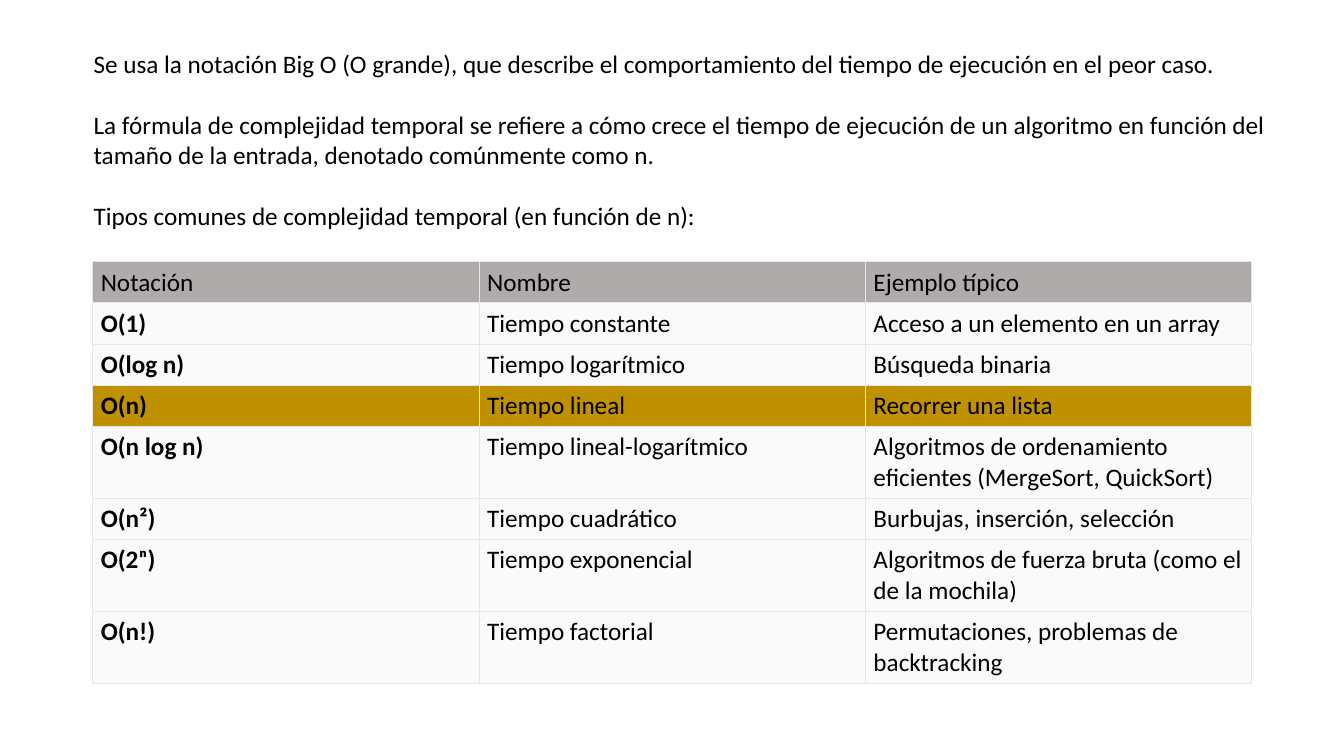
from lxml import etree
from pptx import Presentation
from pptx.dml.color import RGBColor
from pptx.enum import text
from pptx.oxml import ns
from pptx.util import Pt

FONT = "Calibri"
BLACK = RGBColor(0x00, 0x00, 0x00)
HEADER_GREY = RGBColor(0xAF, 0xAB, 0xAB)
ROW_GREY = RGBColor(0xFA, 0xFA, 0xFA)
HIGHLIGHT_GOLD = RGBColor(0xBF, 0x90, 0x00)
BORDER_GREY = RGBColor(0xE6, 0xE6, 0xE6)

INTRODUCTION = [
    "Se usa la notación Big O (O grande), que describe el comportamiento "
    "del tiempo de ejecución en el peor caso.",
    "La fórmula de complejidad temporal se refiere a cómo crece el tiempo de ejecución "
    "de un algoritmo en función del tamaño de la entrada, denotado comúnmente como n.",
    "Tipos comunes de complejidad temporal (en función de n):",
]
HEADER = ("Notación", "Nombre", "Ejemplo típico")
COMPLEXITIES = [
    ("O(1)", "Tiempo constante", "Acceso a un elemento en un array"),
    ("O(log n)", "Tiempo logarítmico", "Búsqueda binaria"),
    ("O(n)", "Tiempo lineal", "Recorrer una lista"),
    ("O(n log n)", "Tiempo lineal-logarítmico",
     "Algoritmos de ordenamiento eficientes (MergeSort, QuickSort)"),
    ("O(n²)", "Tiempo cuadrático", "Burbujas, inserción, selección"),
    ("O(2ⁿ)", "Tiempo exponencial", "Algoritmos de fuerza bruta (como el de la mochila)"),
    ("O(n!)", "Tiempo factorial", "Permutaciones, problemas de backtracking"),
]
HIGHLIGHTED = "O(n)"
ONE_LINE, TWO_LINES = 29.4, 51.1
LONGEST_LINE = 35  # characters that fit on one line of a column


def set_font(paragraph, bold=False):
    font = paragraph.font
    font.name, font.size, font.bold = FONT, Pt(18), bold
    font.color.rgb = BLACK


def add_introduction(slide, left, top, width, height):
    frame = slide.shapes.add_textbox(Pt(left), Pt(top), Pt(width), Pt(height)).text_frame
    frame.word_wrap = True
    frame.auto_size = text.MSO_AUTO_SIZE.SHAPE_TO_FIT_TEXT
    frame.text = "\n".join(INTRODUCTION)
    for paragraph in frame.paragraphs:
        set_font(paragraph)
        paragraph.space_after = Pt(21.8)
    frame.paragraphs[-1].space_after = Pt(0)


def add_borders(cell):
    properties = cell._tc.get_or_add_tcPr()
    for side in ("a:lnL", "a:lnR", "a:lnT", "a:lnB"):
        line = etree.SubElement(properties, ns.qn(side), w=str(Pt(0.5)))
        fill = etree.SubElement(line, ns.qn("a:solidFill"))
        etree.SubElement(fill, ns.qn("a:srgbClr"), val=str(BORDER_GREY))


def format_cell(cell, wording, color, bold):
    cell.text = wording
    set_font(cell.text_frame.paragraphs[0], bold)
    cell.margin_left, cell.margin_top = Pt(5.8), Pt(4)
    cell.margin_right, cell.margin_bottom = Pt(4), Pt(3.4)
    add_borders(cell)
    cell.fill.solid()
    cell.fill.fore_color.rgb = color


def add_complexity_table(slide, left, top, width):
    rows = [HEADER, *COMPLEXITIES]
    heights = [TWO_LINES if len(row[-1]) > LONGEST_LINE else ONE_LINE for row in rows]
    table = slide.shapes.add_table(
        len(rows), len(HEADER), Pt(left), Pt(top), Pt(width), Pt(sum(heights))).table
    table.horz_banding = False
    for r, (row, height) in enumerate(zip(rows, heights)):
        table.rows[r].height = Pt(height)
        if row is HEADER:
            color = HEADER_GREY
        else:
            color = HIGHLIGHT_GOLD if row[0] == HIGHLIGHTED else ROW_GREY
        for c, wording in enumerate(row):
            format_cell(table.cell(r, c), wording, color, bold=r > 0 and c == 0)


def main():
    deck = Presentation()
    deck.slide_width, deck.slide_height = Pt(960), Pt(540)
    slide = deck.slides.add_slide(deck.slide_layouts[6])
    add_complexity_table(slide, 66.2, 186.8, 828)
    add_introduction(slide, 59.8, 31, 864, 138.2)
    deck.save("out.pptx")


if __name__ == "__main__":
    main()
